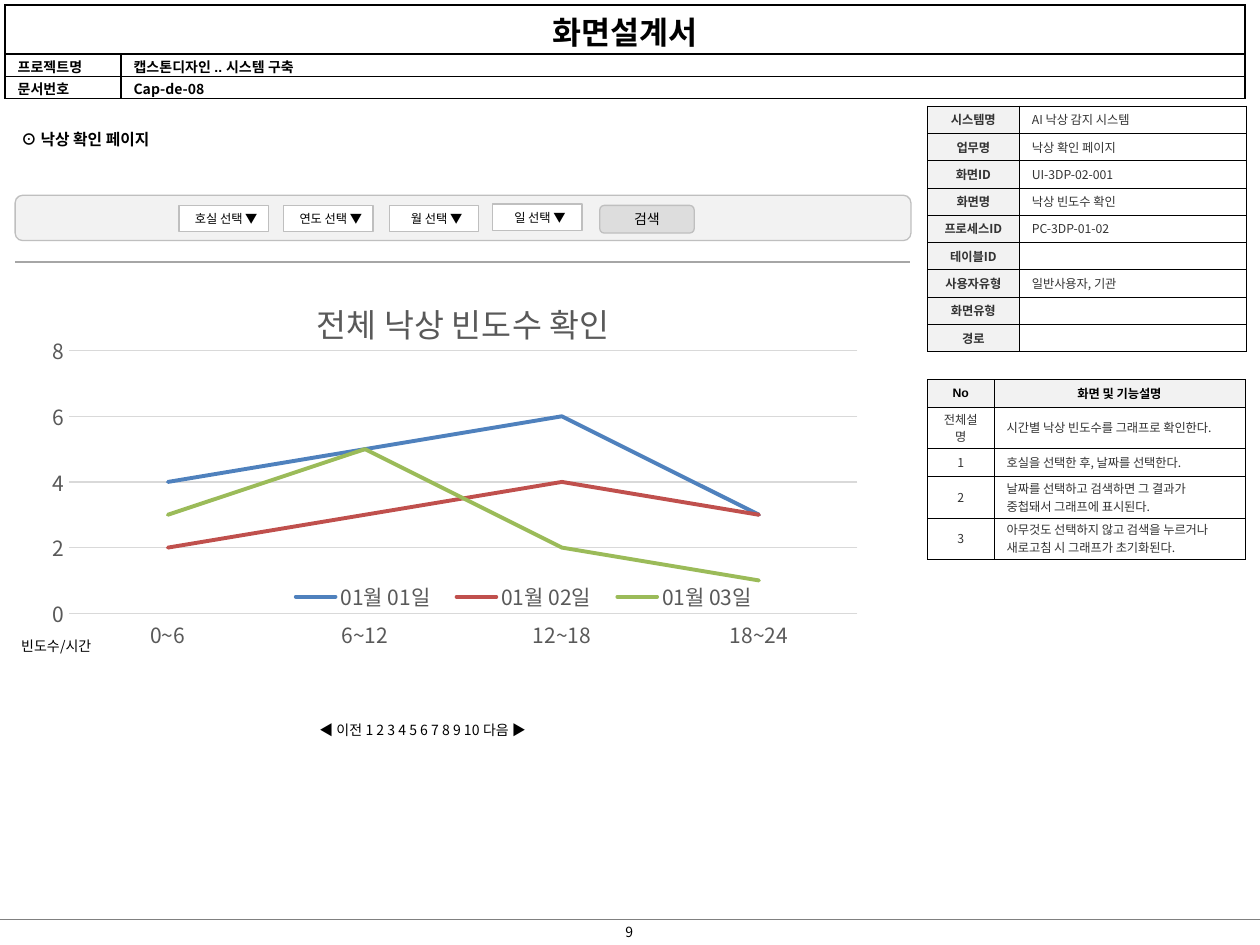
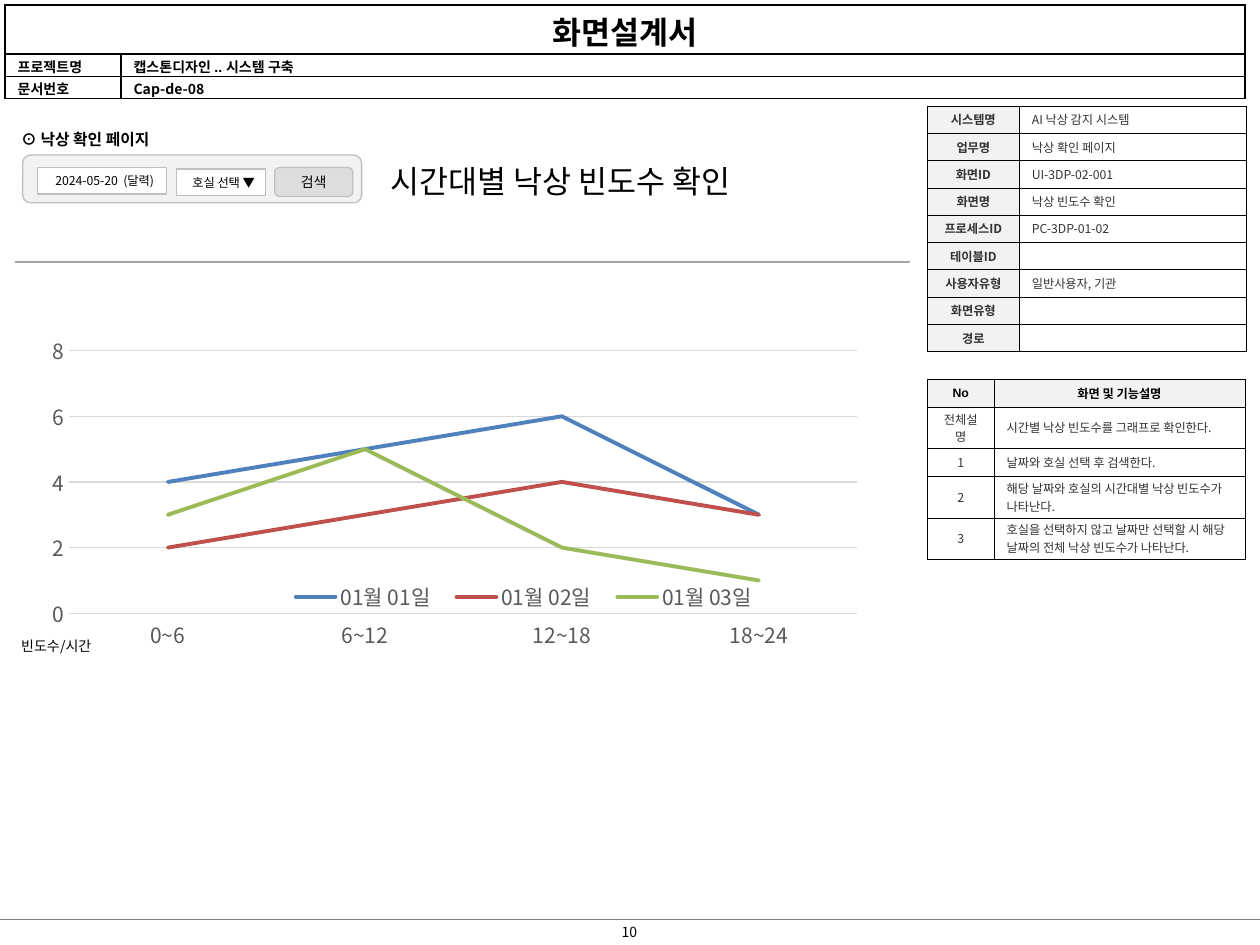
from lxml import etree
from pptx import Presentation
from pptx.chart.data import CategoryChartData
from pptx.dml.color import RGBColor
from pptx.enum.chart import XL_CHART_TYPE, XL_LEGEND_POSITION, XL_MARKER_STYLE, XL_TICK_MARK
from pptx.enum.shapes import MSO_CONNECTOR, MSO_SHAPE
from pptx.enum.text import MSO_ANCHOR, PP_ALIGN
from pptx.oxml.ns import qn
from pptx.util import Inches, Pt

LEFT, CENTER = PP_ALIGN.LEFT, PP_ALIGN.CENTER
TOP, MIDDLE = MSO_ANCHOR.TOP, MSO_ANCHOR.MIDDLE
RECT, PANEL = MSO_SHAPE.RECTANGLE, MSO_SHAPE.ROUNDED_RECTANGLE
BUTTON = MSO_SHAPE.FLOWCHART_ALTERNATE_PROCESS
STRAIGHT = MSO_CONNECTOR.STRAIGHT
NO_TICK = XL_TICK_MARK.NONE

NOTO, ARIAL = "Noto Sans CJK KR", "Arial"
BLACK, WHITE, DARK, GRAY = "000000", "FFFFFF", "333333", "595959"
PALE, SILVER, EDGE, GRID = "F2F2F2", "DDDDDD", "BFBFBF", "D9D9D9"


def rgb(code):
    return RGBColor.from_string(code)


def write(frame, text, size, font=NOTO, color=BLACK, bold=False, align=LEFT):
    frame.text = text
    para = frame.paragraphs[0]
    para.alignment = align
    for run in para.runs:
        run.font.size, run.font.bold, run.font.name = Pt(size), bold, font
        run.font.color.rgb = rgb(color)
        east = etree.SubElement(run._r.get_or_add_rPr(), qn("a:ea"))
        east.set("typeface", NOTO)
    if not text:
        end = etree.SubElement(para._p, qn("a:endParaRPr"))
        end.set("sz", str(size * 100))


# Shared content
HEAD = [["화면설계서", ""],
        ["프로젝트명", "캡스톤디자인 .. 시스템 구축"],
        ["문서번호", "Cap-de-08"]]
INFO = [["시스템명", "AI 낙상 감지 시스템"],
        ["업무명", "낙상 확인 페이지"],
        ["화면ID", "UI-3DP-02-001"],
        ["화면명", "낙상 빈도수 확인"],
        ["프로세스ID", "PC-3DP-01-02"],
        ["테이블ID", ""],
        ["사용자유형", "일반사용자, 기관"],
        ["화면유형", ""],
        ["경로", ""]]
GUIDE = [["No", "화면 및 기능설명"],
         ["전체설명", "시간별 낙상 빈도수를 그래프로 확인한다."]]
SERIES = [("01월 01일", (4, 5, 6, 3), "4F81BD"),
          ("01월 02일", (2, 3, 4, 3), "C0504D"),
          ("01월 03일", (3, 5, 2, 1), "9BBB59")]
LABELS = [("⊙ 낙상 확인 페이지", 0.07, 0.98, 1.32, 0.25, 9, True, LEFT),
          ("빈도수/시간", 0.07, 5.01, 0.83, 0.24, 8, False, LEFT)]

# What differs between the two pages
PAGES = [
    dict(no="9", title="전체 낙상 빈도수 확인",
         steps=["호실을 선택한 후, 날짜를 선택한다.",
                "날짜를 선택하고 검색하면 그 결과가 중첩돼서 그래프에 표시된다.",
                "아무것도 선택하지 않고 검색을 누르거나 새로고침 시 그래프가 초기화된다."],
         panel=(0.12, 1.55, 7.11, 0.36), button=(4.76, 1.63, 0.75, 0.22),
         picks=[("호실 선택 ▼", 1.42, 1.63, 0.71), ("연도 선택 ▼", 2.25, 1.63, 0.71),
                ("월 선택 ▼", 3.09, 1.63, 0.71), ("일 선택 ▼", 3.91, 1.62, 0.71)],
         label=("◀ 이전 1 2 3 4 5 6 7 8 9 10 다음 ▶",
                2.32, 5.68, 2.07, 0.24, 8, False, CENTER)),
    dict(no="10", title="",
         steps=["날짜와 호실 선택 후 검색한다.",
                "해당 날짜와 호실의 시간대별 낙상 빈도수가 나타난다.",
                "호실을 선택하지 않고 날짜만 선택할 시 해당 날짜의 전체 낙상 빈도수가 나타난다."],
         panel=(0.18, 1.23, 2.69, 0.38), button=(2.18, 1.33, 0.62, 0.23),
         picks=[("2024-05-20  (달력)", 0.3, 1.33, 1.02), ("호실 선택 ▼", 1.4, 1.34, 0.71)],
         label=("시간대별 낙상 빈도수 확인", 3, 1.24, 3.25, 0.4, 18, False, LEFT)),
]

prs = Presentation()
prs.slide_width, prs.slide_height = Inches(10), Inches(7.5)

for page in PAGES:
    slide = prs.slides.add_slide(prs.slide_layouts[6])
    shapes = slide.shapes

    # Footer rule and divider
    for x1, x2, y, color in [(0, 10, 7.3, "808080"), (0.12, 7.22, 2.08, "A6A6A6")]:
        rule = shapes.add_connector(STRAIGHT, Inches(x1), Inches(y), Inches(x2), Inches(y))
        rule.line.color.rgb, rule.line.width = rgb(color), Pt(0.75)
        etree.SubElement(rule._element.spPr, qn("a:effectLst"))

    # Tables: header, screen info, function guide
    guide = GUIDE + [[str(i), step] for i, step in enumerate(page["steps"], 1)]
    for name, rows, x, y, cols, highs, width in [
            ("head", HEAD, 0.04, 0.04, (0.92, 8.92), (0.39, 0.17, 0.17), 1),
            ("info", INFO, 7.36, 0.84, (0.73, 1.8), [1.95 / 9] * 9, 0.25),
            ("guide", guide, 7.36, 3.01, (0.53, 1.99), (0.22, 0.33, 0.22, 0.33, 0.33), 0.25)]:
        table = shapes.add_table(len(rows), 2, Inches(x), Inches(y),
                                 Inches(sum(cols)), Inches(sum(highs))).table
        table.first_row = table.horz_banding = False
        for col, wide in zip(table.columns, cols):
            col.width = Inches(wide)
        for r, row in enumerate(rows):
            table.rows[r].height = Inches(highs[r])
            for c, text in enumerate(row):
                cell = table.cell(r, c)
                top = name == "head"
                strong = top or (c == 0 if name == "info" else r == 0)
                title = top and r == 0
                middle = title or (not top and (c == 0 or strong))
                font = ARIAL if strong and name != "info" and not title else NOTO
                if text == "Cap-de-08":
                    font = NOTO
                size = 18 if title else 8 if top else 7
                color = BLACK if top or (name == "guide" and strong) else DARK
                write(cell.text_frame, text, size, font, color, strong,
                      CENTER if middle else LEFT)
                cell.vertical_anchor = TOP if top else MIDDLE
                cell.margin_top = Inches(0.03 if top and r else 0.02)
                cell.margin_bottom = Inches(0 if top else 0.02)
                if top and r:
                    cell.text_frame.paragraphs[0].line_spacing = 0.9
                props = cell._tc.get_or_add_tcPr()
                for side in ("L", "R", "T", "B"):
                    edge = etree.SubElement(props, qn("a:ln" + side), w=str(Pt(width)))
                    fill = etree.SubElement(edge, qn("a:solidFill"))
                    etree.SubElement(fill, qn("a:srgbClr"), val=BLACK)
                if top or strong:
                    cell.fill.solid()
                    cell.fill.fore_color.rgb = rgb(WHITE if top else PALE)
                else:
                    cell.fill.background()
        if name == "head":
            table.cell(0, 0).merge(table.cell(0, 1))

    # Search panel, button and pick boxes
    parts = [(PANEL, "", *page["panel"], PALE), (BUTTON, "검색", *page["button"], SILVER)]
    parts += [(RECT, text, x, y, wide, 0.21, WHITE) for text, x, y, wide in page["picks"]]
    for kind, text, x, y, wide, high, fill in parts:
        box = shapes.add_shape(kind, Inches(x), Inches(y), Inches(wide), Inches(high))
        box.shadow.inherit = False
        box.fill.solid()
        box.fill.fore_color.rgb = rgb(fill)
        box.line.color.rgb, box.line.width = rgb(EDGE), Pt(0.75)
        if text:
            frame = box.text_frame
            pick = kind == RECT
            write(frame, text, 7 if pick else 8, NOTO if pick else ARIAL, align=CENTER)
            frame.vertical_anchor = MIDDLE
            frame.margin_left = Inches(0.08 if pick else 0.1)
            frame.margin_right = Inches(0.04 if pick else 0.1)
            frame.margin_top = frame.margin_bottom = Inches(0.05 if pick else 0)

    # Line chart
    data = CategoryChartData()
    data.categories = ["0~6", "6~12", "12~18", "18~24"]
    for name, vals, color in SERIES:
        data.add_series(name, vals)
    chart = shapes.add_chart(XL_CHART_TYPE.LINE, Inches(0.3), Inches(2.13),
                             Inches(6.77), Inches(3.3), data).chart
    chart.font.size, chart.font.name = Pt(12), NOTO
    chart.font.color.rgb = rgb(GRAY)
    chart.plots[0].vary_by_categories = False
    for line, (name, vals, color) in zip(chart.plots[0].series, SERIES):
        line.smooth = False
        line.marker.style = XL_MARKER_STYLE.NONE
        line.format.line.color.rgb, line.format.line.width = rgb(color), Pt(2.25)
        line.format.line._get_or_add_ln().set("cap", "rnd")
    down, across = chart.value_axis, chart.category_axis
    for axis in (down, across):
        axis.major_tick_mark = axis.minor_tick_mark = NO_TICK
    down.minimum_scale, down.maximum_scale, down.major_unit = 0, 8, 2
    down.format.line.fill.background()
    for line in (across.format.line, down.major_gridlines.format.line):
        line.color.rgb, line.width = rgb(GRID), Pt(0.75)
    chart.has_legend = True
    chart.legend.position = XL_LEGEND_POSITION.BOTTOM
    chart.legend.include_in_layout = False
    chart.has_title = bool(page["title"])

    # Fixed places of plot, legend and title
    spots = [(chart._chartSpace.chart.plotArea, dict(x=0.037, y=0.198, w=0.924, h=0.632)),
             (chart.legend._element, dict(x=0.28, y=0.75, w=0.58, h=0.08))]
    if page["title"]:
        write(chart.chart_title.text_frame, page["title"], 18.6, color=GRAY)
        spots.append((chart.chart_title._element, dict(x=0.32, y=0.05)))
    for part, spot in spots:
        for old in part.findall(qn("c:layout")):
            part.remove(old)
        lay = etree.Element(qn("c:layout"))
        over = part.find(qn("c:overlay"))
        if over is None:
            part.insert(0, lay)
            manual = etree.SubElement(lay, qn("c:manualLayout"))
            etree.SubElement(manual, qn("c:layoutTarget"), val="inner")
        else:
            over.addprevious(lay)
            manual = etree.SubElement(lay, qn("c:manualLayout"))
        for key in "xy":
            etree.SubElement(manual, qn(f"c:{key}Mode"), val="edge")
        for key, val in spot.items():
            etree.SubElement(manual, qn("c:" + key), val=str(val))

    # Text labels and page number
    number = (page["no"], 4.72, 7.28, 0.55, 0.24, 8, False, CENTER)
    for text, x, y, wide, high, size, bold, align in LABELS + [page["label"], number]:
        box = shapes.add_textbox(Inches(x), Inches(y), Inches(wide), Inches(high))
        box.text_frame.word_wrap = True
        write(box.text_frame, text, size, bold=bold, align=align)

prs.save("out.pptx")
